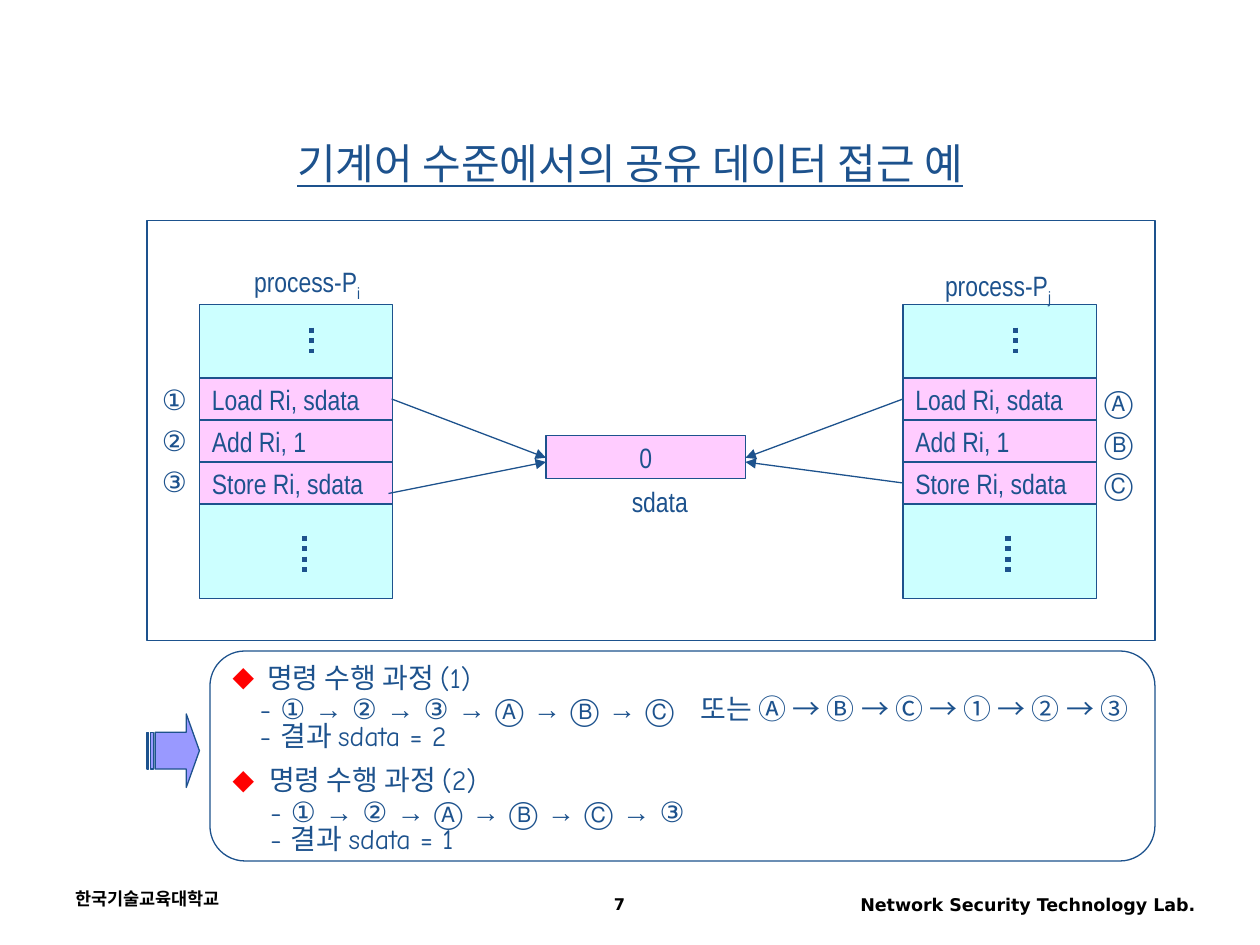
from lxml.etree import SubElement
from pptx import Presentation
from pptx.dml.color import RGBColor
from pptx.enum.dml import MSO_LINE as Dash
from pptx.enum.shapes import MSO_CONNECTOR as Connector, MSO_SHAPE as Shape
from pptx.enum.text import MSO_ANCHOR as Anchor, PP_ALIGN as Align
from pptx.oxml.ns import qn
from pptx.util import Pt

SCALE = 7620
INK, CYAN, PINK, VIOLET = "1D528D", "CCFFFF", "FFCCFF", "9999FF"
NARROW, COMIC, SANS = "Arial Narrow", "Comic Neue", "DejaVu Sans"


def px(value):
    return round(value * SCALE)


def color(value):
    return RGBColor.from_string(value)


def add_run(paragraph, text, size=16, font=NARROW, ink=INK, bold=None):
    run = paragraph.add_run()
    run.text = text
    run.font.size = Pt(size)
    run.font.name = font
    run.font.bold = bold
    run.font.color.rgb = color(ink)
    return run


def set_frame(shape, anchor=Anchor.MIDDLE, wrap=False):
    frame = shape.text_frame
    frame.word_wrap = wrap
    frame.vertical_anchor = anchor
    return frame


def add_shape(slide, kind, box, fill=None, line=INK):
    shape = slide.shapes.add_shape(kind, *map(px, box))
    shape.shadow.inherit = False
    if fill:
        shape.fill.solid()
        shape.fill.fore_color.rgb = color(fill)
    else:
        shape.fill.background()
    if line:
        shape.line.color.rgb = color(line)
        shape.line.width = Pt(0.75)
    else:
        shape.line.fill.background()
    return shape


def add_text(slide, box, anchor=Anchor.TOP, wrap=False, align=Align.CENTER):
    frame = set_frame(slide.shapes.add_textbox(*map(px, box)), anchor, wrap)
    frame.paragraphs[0].alignment = align
    return frame


def add_line(slide, start, end, width=0.75):
    line = slide.shapes.add_connector(Connector.STRAIGHT, *map(px, start + end))
    line.line.color.rgb = color(INK)
    line.line.width = Pt(width)
    SubElement(line._element.spPr, qn("a:effectLst"))
    return line


def add_arrow(slide, start, end):
    arrow = add_line(slide, start, end)
    SubElement(arrow.line._get_or_add_ln(), qn("a:tailEnd"), type="triangle")


def add_footer(slide, items):
    for box, align, text, size in items:
        paragraph = add_text(slide, box, wrap=True, align=align).paragraphs[0]
        add_run(paragraph, text, size, SANS, "000000", True)


def add_title(slide, box, text):
    shape = add_shape(slide, Shape.FLOWCHART_ALTERNATE_PROCESS, box, line=None)
    paragraph = set_frame(shape).paragraphs[0]
    paragraph.alignment = Align.CENTER
    add_run(paragraph, text, 24).font.underline = True


def add_process(slide, box, index, label_at):
    left, top, width, height = box
    add_shape(slide, Shape.RECTANGLE, box, CYAN)
    for row, code in enumerate(["Load Ri, sdata", "Add Ri, 1", "Store Ri, sdata"]):
        cell = add_shape(slide, Shape.RECTANGLE, (left, top + 70 + 40 * row, width, 40), PINK)
        paragraph = set_frame(cell).paragraphs[0]
        paragraph.alignment = Align.LEFT
        add_run(paragraph, code)
    for x, first, last in [(107, 22, 46), (100, 220, 257)]:
        dots = add_line(slide, (left + x, top + first), (left + x, top + last), 3)
        dots.line.dash_style = Dash.ROUND_DOT
    label_x, label_y = label_at
    paragraph = add_text(slide, (left + label_x, top + label_y, 125, 49)).paragraphs[0]
    add_run(paragraph, "process-P")
    add_run(paragraph, index).font._element.set("baseline", "-25000")


def add_marks(slide, box, marks, first_spacing):
    frame = add_text(slide, box, Anchor.MIDDLE)
    for row, mark in enumerate(marks):
        paragraph = frame.add_paragraph() if row else frame.paragraphs[0]
        paragraph.alignment = Align.CENTER
        paragraph.line_spacing = 0.7 if row else first_spacing
        if row:
            paragraph.space_before = Pt(10)
        add_run(paragraph, mark, font=COMIC)


def add_shared_data(slide, box):
    left, top, width, height = box
    paragraph = set_frame(add_shape(slide, Shape.RECTANGLE, box, PINK)).paragraphs[0]
    paragraph.alignment = Align.CENTER
    add_run(paragraph, "0")
    add_run(add_text(slide, (left + 70, top + height, 77, 44)).paragraphs[0], "sdata")
    for side, start_x, start_y, end_y in [
        (left, 373, 380, 21), (left, 370, 470, 25),
        (left + width, 860, 380, 21), (left + width, 860, 460, 25),
    ]:
        add_arrow(slide, (start_x, start_y), (side, top + end_y))


def add_steps(paragraph, text):
    for position, part in enumerate(text.split("→")):
        if position:
            add_run(paragraph, "→", font="Arial")
        add_run(paragraph, part, font=COMIC)


def add_summary(slide, box, groups):
    shape = add_shape(slide, Shape.FLOWCHART_ALTERNATE_PROCESS, box)
    frame = set_frame(shape)
    for group, (heading, heading_indent, lines, line_indent) in enumerate(groups):
        paragraph = frame.add_paragraph() if group else frame.paragraphs[0]
        paragraph.alignment = Align.LEFT
        if group:
            paragraph.line_spacing = 0.9
            paragraph.space_before = Pt(10)
        properties = paragraph._p.get_or_add_pPr()
        properties.set("marL", str(px(heading_indent)))
        properties.set("indent", str(-px(heading_indent)))
        bullet_color = SubElement(properties, qn("a:buClr"))
        SubElement(bullet_color, qn("a:srgbClr"), val="FF0000")
        SubElement(properties, qn("a:buFont"), typeface=SANS)
        SubElement(properties, qn("a:buChar"), char="◆")
        add_run(paragraph, heading, font=COMIC)
        for text in lines:
            paragraph = frame.add_paragraph()
            paragraph.alignment = Align.LEFT
            paragraph.line_spacing = 0.3
            paragraph.space_before = Pt(10)
            properties = paragraph._p.get_or_add_pPr()
            properties.set("marL", str(px(line_indent)))
            properties.set("indent", "0")
            if "\t" in text:
                tabs = SubElement(properties, qn("a:tabLst"))
                SubElement(tabs, qn("a:tab"), pos=str(px(444)), algn="l")
            add_steps(paragraph, text)
    left, top, width, height = box
    arrow = add_shape(slide, Shape.STRIPED_RIGHT_ARROW, (left - 60, top + 60, 50, 70), VIOLET)
    arrow.adjustments[1] = 0.25


def main():
    presentation = Presentation()
    presentation.slide_width, presentation.slide_height = px(1200), px(900)
    slide = presentation.slides.add_slide(presentation.slide_layouts[6])
    add_footer(slide, [
        ((60, 840, 280, 40), Align.LEFT, "한국기술교육대학교", 10),
        ((770, 846, 380, 38), Align.RIGHT, "Network Security Technology Lab.", 10),
        ((450, 846, 280, 34), Align.CENTER, "7", 9.2),
    ])
    add_title(slide, (340, 140, 520, 30), "기계어 수준에서의 공유 데이터 접근 예")
    add_shape(slide, Shape.RECTANGLE, (140, 210, 960, 400), "FFFFFF")
    add_process(slide, (190, 290, 184, 280), "i", (40, -44))
    add_process(slide, (860, 290, 184, 280), "j", (28, -40))
    add_marks(slide, (142, 367, 48, 113), "①②③", 0.7)
    add_marks(slide, (1040, 365, 50, 116), "ⒶⒷⒸ", 0.8)
    add_shared_data(slide, (520, 415, 190, 41))
    add_summary(slide, (200, 620, 900, 200), [
        ("명령 수행 과정 (1)", 33,
         ["- ① → ② → ③ → Ⓐ → Ⓑ → Ⓒ\t또는 Ⓐ → Ⓑ → Ⓒ → ① → ② → ③", "- 결과 sdata = 2"], 26),
        ("명령 수행 과정 (2)", 35,
         ["- ① → ② → Ⓐ → Ⓑ → Ⓒ → ③", "- 결과 sdata = 1"], 36),
    ])
    presentation.save("out.pptx")


if __name__ == "__main__":
    main()
